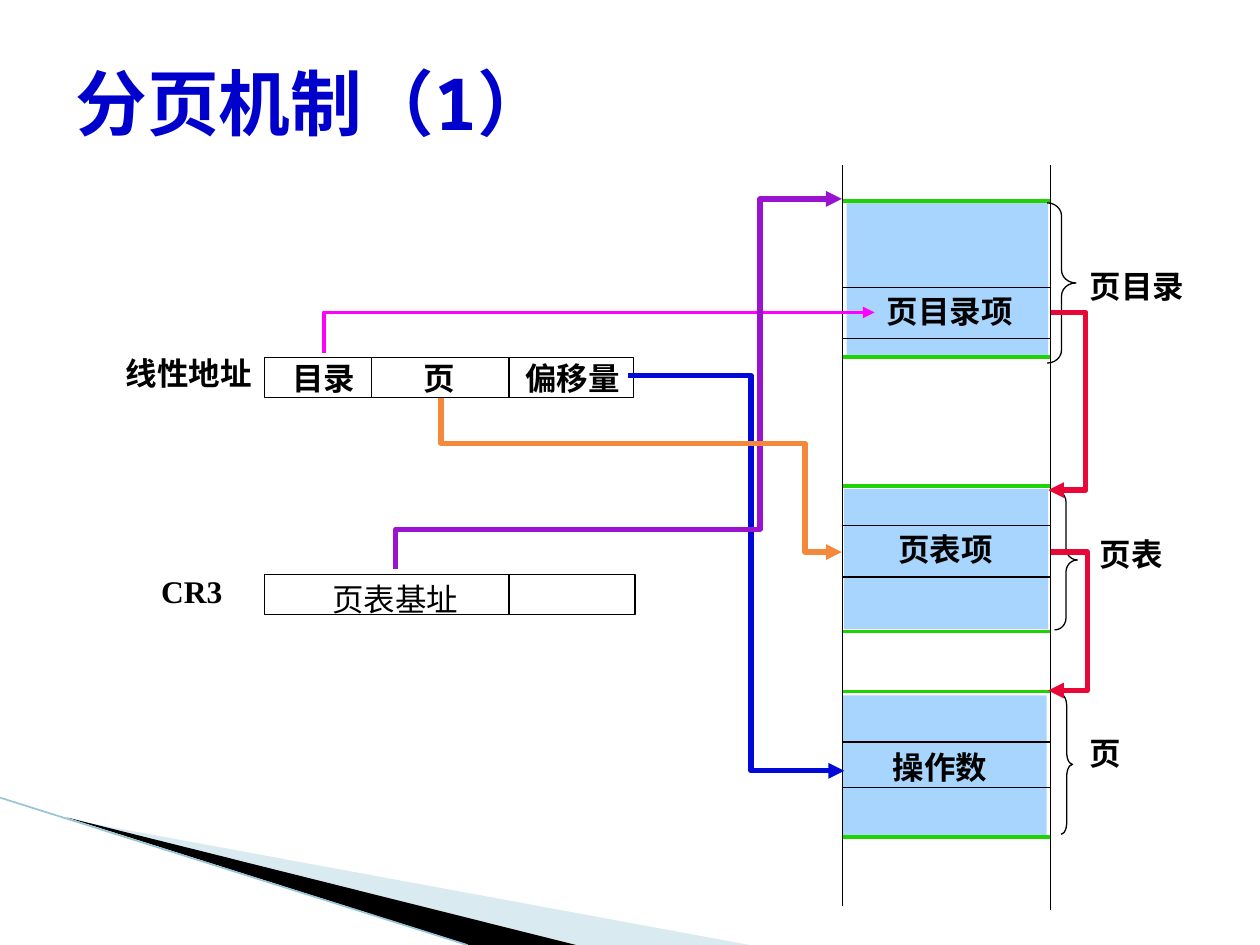
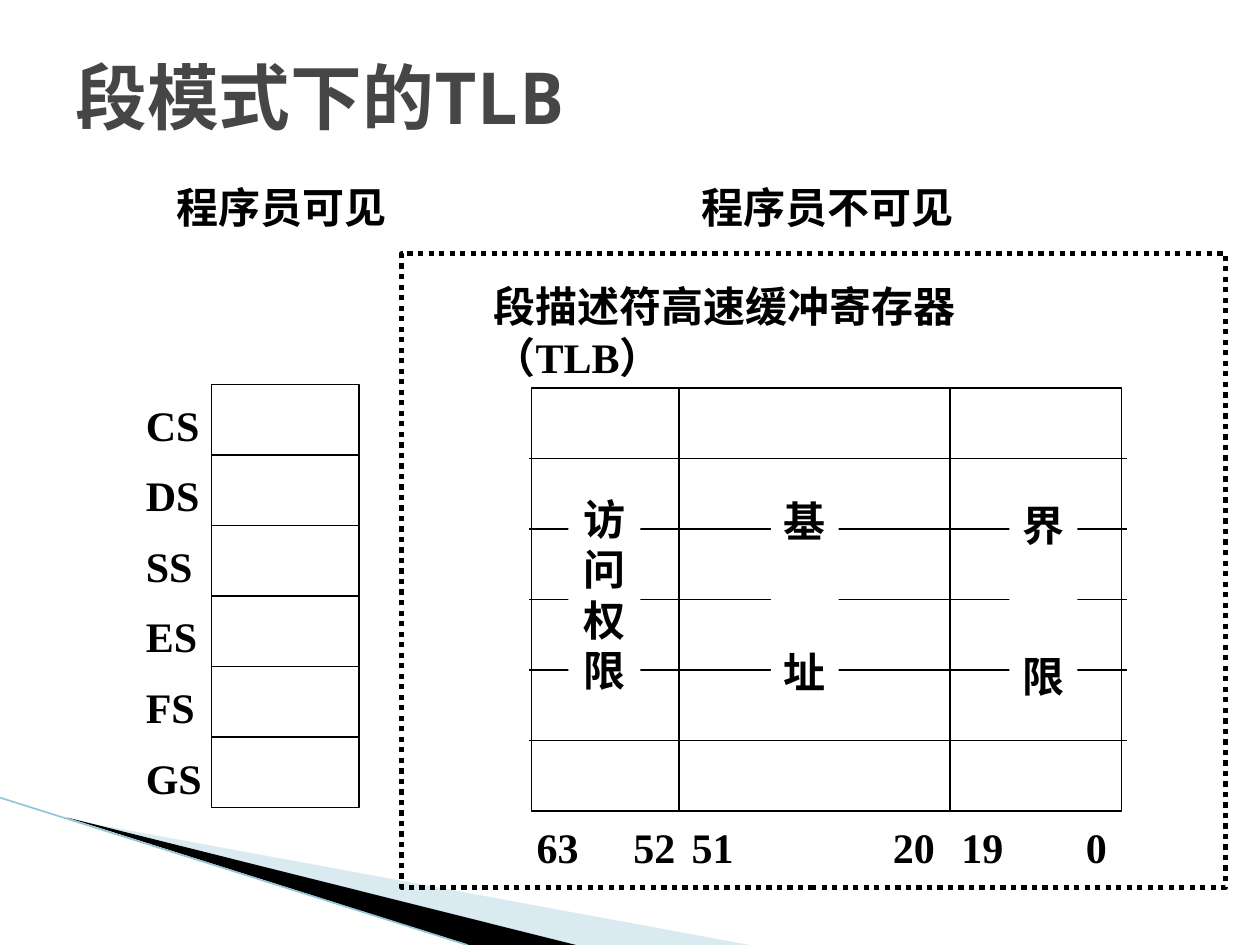
from dataclasses import dataclass

from lxml.etree import SubElement
from pptx import Presentation
from pptx.dml.color import RGBColor
from pptx.enum.dml import MSO_LINE
from pptx.enum.shapes import MSO_CONNECTOR, MSO_SHAPE
from pptx.enum.text import MSO_ANCHOR, PP_ALIGN
from pptx.oxml.ns import qn
from pptx.util import Cm, Pt

Point = tuple[float, float]


@dataclass(frozen=True)
class Theme:
    ink: str = "000000"
    paper: str = "FFFFFF"
    title_blue: str = "0000CC"
    title_grey: str = "464646"
    memory: str = "A8D5FE"
    boundary: str = "20D202"
    directory_path: str = "FF00FF"
    offset_path: str = "000AD8"
    base_path: str = "9A14D0"
    page_path: str = "F38A3B"
    entry_path: str = "E80838"
    swoosh: str = "A0CBDC"
    swoosh_edge: str = "97C5D8"
    title_font: str = "Noto Sans Mono"
    body_font: str = "Times New Roman"
    plain_font: str = "Arial"
    title_size: float = 41
    heading_size: float = 24
    label_size: float = 18
    thin: float = 0.75
    medium: float = 2.25
    thick: float = 3


THEME = Theme()


@dataclass(frozen=True)
class Box:
    left: float
    top: float
    width: float
    height: float

    @property
    def right(self) -> float:
        return self.left + self.width

    @property
    def bottom(self) -> float:
        return self.top + self.height

    def lengths(self) -> list[Cm]:
        return [Cm(v) for v in (self.left, self.top, self.width, self.height)]


@dataclass(frozen=True)
class Label:
    text: str
    left: float
    top: float
    size: float = THEME.label_size
    font: str = THEME.body_font
    bold: bool = True


@dataclass(frozen=True)
class Route:
    color: str
    points: tuple[Point, ...]
    weight: float = THEME.thick


@dataclass(frozen=True)
class MemoryBlock:
    body: Box
    top: float
    bottom: float
    entry_top: float
    entry_bottom: float
    entry: Label
    brace: Box
    curl: float
    caption: Label


@dataclass(frozen=True)
class Mask:
    box: Box
    letters: str
    gap: float = 0


BLOCKS = (
    MemoryBlock(Box(17.07, 4.06, 4.06, 3.1), 4.06, 7.19, 5.79, 6.83,
                Label("页目录项", 17.63, 5.77), Box(21.11, 4.09, 0.58, 3.23), 0.45,
                Label("页目录", 21.72, 5.26)),
    MemoryBlock(Box(17.02, 9.86, 4.11, 2.82), 9.8, 12.73, 10.59, 11.63,
                Label("页表项", 17.86, 10.57), Box(21.26, 9.88, 0.46, 2.82), 0.52,
                Label("页表", 21.92, 10.67)),
    MemoryBlock(Box(16.99, 14.02, 4.11, 2.82), 13.94, 16.87, 14.96, 15.88,
                Label("操作数", 17.75, 14.96), Box(21.39, 14, 0.23, 2.82), 1.05,
                Label("页", 21.72, 14.68)),
)

ROUTES = (
    Route(THEME.directory_path, ((6.53, 7.11), (6.53, 6.3), (17.63, 6.3)), THEME.medium),
    Route(THEME.offset_path, ((12.67, 7.57), (15.14, 7.57), (15.14, 15.54), (17.02, 15.54))),
    Route(THEME.base_path, ((7.98, 11.48), (7.98, 10.67), (15.32, 10.67),
                            (15.32, 4.01), (16.97, 4.01))),
    Route(THEME.entry_path, ((21.18, 6.3), (21.89, 6.3), (21.89, 9.88), (21.13, 9.88))),
    Route(THEME.page_path, ((8.89, 8.03), (8.89, 8.94), (16.23, 8.94),
                            (16.23, 11.13), (16.97, 11.13))),
    Route(THEME.entry_path, ((21.18, 11.13), (21.92, 11.13), (21.92, 13.92), (21.13, 13.92))),
)

ADDRESS_LABELS = (
    Label("线性地址", 2.29, 7.01),
    Label("目录", 5.64, 7.11),
    Label("页", 8.28, 7.11),
    Label("偏移量", 10.34, 7.11),
    Label("CR3", 3, 11.4),
    Label("页表基址", 6.45, 11.56, font=THEME.plain_font, bold=False),
)

BIT_LABELS = (("63", 10.57), ("52", 12.52), ("51", 13.69),
              ("20", 17.75), ("19", 19.13), ("0", 21.64))

MASKS = (
    Mask(Box(11.46, 8.81, 1.45, 6.35), "访问权限"),
    Mask(Box(15.54, 8.84, 1.37, 6.35), "基址", 58),
    Mask(Box(20.35, 8.92, 1.37, 6.35), "界限", 58),
)


def rgb(color: str) -> RGBColor:
    return RGBColor.from_string(color)


def draw_shape(slide, box: Box, fill: str = "", line: str = "",
               weight: float = THEME.thin, preset=MSO_SHAPE.RECTANGLE):
    shape = slide.shapes.add_shape(preset, *box.lengths())
    paint(shape, fill, line, weight)
    return shape


def paint(shape, fill: str, line: str, weight: float = THEME.thin) -> None:
    shape.shadow.inherit = False
    if fill:
        shape.fill.solid()
        shape.fill.fore_color.rgb = rgb(fill)
    else:
        shape.fill.background()
    if line:
        shape.line.color.rgb = rgb(line)
        shape.line.width = Pt(weight)
    else:
        shape.line.fill.background()


def draw_line(slide, start: Point, end: Point, color: str = THEME.ink,
              weight: float = THEME.thin):
    line = slide.shapes.add_connector(
        MSO_CONNECTOR.STRAIGHT, *(Cm(v) for v in (*start, *end)))
    line.line.color.rgb = rgb(color)
    line.line.width = Pt(weight)
    SubElement(line._element.spPr, qn("a:effectLst"))
    return line


def draw_outline(slide, points: tuple[Point, ...], closed: bool):
    first, *rest = [(Cm(x), Cm(y)) for x, y in points]
    builder = slide.shapes.build_freeform(*first)
    builder.add_line_segments(rest, close=closed)
    return builder.convert_to_shape()


def draw_route(slide, route: Route) -> None:
    arrow = draw_outline(slide, route.points, False)
    paint(arrow, "", route.color, route.weight)
    SubElement(arrow.line._get_or_add_ln(), qn("a:tailEnd"), type="triangle")


def write(frame, lines, size: float, font: str = THEME.body_font, color: str = THEME.ink,
          bold: bool = True, align=PP_ALIGN.LEFT, spacing: float | None = None,
          gap: float = 0) -> None:
    for index, text in enumerate(lines):
        paragraph = frame.add_paragraph() if index else frame.paragraphs[0]
        paragraph.text = text
        paragraph.alignment = align
        if spacing:
            paragraph.line_spacing = spacing
        if index and gap:
            paragraph.space_before = Pt(gap)
        paragraph.font.size = Pt(size)
        paragraph.font.name = font
        paragraph.font.bold = bold
        paragraph.font.color.rgb = rgb(color)


def add_frame(slide, box: Box, wrap: bool):
    frame = slide.shapes.add_textbox(*box.lengths()).text_frame
    frame.word_wrap = wrap
    return frame


def draw_label(slide, label: Label) -> None:
    em = Pt(label.size).cm
    width = 0.51 + em * sum(1 if ord(letter) > 255 else 0.5 for letter in label.text)
    if label.text.isupper():
        width += em * 0.45
    frame = add_frame(slide, Box(label.left, label.top, width, 0.25 + em * 1.2), False)
    write(frame, [label.text], label.size, label.font, bold=label.bold)


def draw_backdrop(slide) -> None:
    pale = draw_outline(slide, ((1.4, 16.52), (15.11, 19.05), (11.58, 19.05)), True)
    paint(pale, THEME.swoosh, "")
    tint = pale.fill._xPr.find(qn("a:solidFill"))[0]
    SubElement(tint, qn("a:alpha"), val="40000")
    dark = draw_outline(slide, ((1.35, 16.48), (11.61, 19.05), (9.45, 19.05)), True)
    paint(dark, THEME.ink, "")
    draw_line(slide, (0, 16.08), (9.42, 19.05), THEME.swoosh_edge, 0.95)


def start_slide(deck, title: str, color: str, title_height: float):
    slide = deck.slides.add_slide(deck.slide_layouts[6])
    draw_backdrop(slide)
    frame = add_frame(slide, Box(1.27, 0.76, 22.86, title_height), True)
    frame.vertical_anchor = MSO_ANCHOR.MIDDLE
    write(frame, [title], THEME.title_size, THEME.title_font, color)
    return slide


def draw_block(slide, block: MemoryBlock) -> None:
    draw_shape(slide, block.body, THEME.memory)
    left, right = 16.97, 21.16
    for y in (block.top, block.bottom):
        draw_line(slide, (left, y), (right, y), THEME.boundary, THEME.medium)
    for y in (block.entry_top, block.entry_bottom):
        draw_line(slide, (left, y), (right, y))
    brace = draw_shape(slide, block.brace, line=THEME.ink, preset=MSO_SHAPE.RIGHT_BRACE)
    brace.adjustments[0] = block.curl
    draw_label(slide, block.entry)
    draw_label(slide, block.caption)


def draw_register(slide, box: Box, dividers: tuple[float, ...]) -> None:
    draw_shape(slide, box, line=THEME.ink)
    for x in dividers:
        draw_line(slide, (x, box.top), (x, box.bottom))


def build_paging(deck) -> None:
    slide = start_slide(deck, "分页机制（1）", THEME.title_blue, 2.57)
    for block in BLOCKS:
        draw_block(slide, block)
    for x, bottom in ((16.99, 18.26), (21.18, 18.34)):
        draw_line(slide, (x, 3.33), (x, bottom))
    draw_register(slide, Box(5.33, 7.21, 7.44, 0.81), (7.49, 10.26))
    draw_register(slide, Box(5.33, 11.58, 7.47, 0.81), (10.26,))
    for label in ADDRESS_LABELS:
        draw_label(slide, label)
    for route in ROUTES:
        draw_route(slide, route)


def draw_mask(slide, mask: Mask) -> None:
    frame = draw_shape(slide, mask.box, THEME.paper).text_frame
    frame.word_wrap = False
    frame.vertical_anchor = MSO_ANCHOR.TOP
    frame.margin_top = Cm(1.14)
    write(frame, mask.letters, THEME.heading_size, align=PP_ALIGN.CENTER, gap=mask.gap)


def build_tlb(deck) -> None:
    slide = start_slide(deck, "段模式下的TLB", THEME.title_grey, 2.36)
    names = ("CS", "DS", "SS", "ES", "FS", "GS")
    count = len(names)

    selectors = Box(4.27, 7.75, 2.97, 8.53)
    selector_frame = draw_shape(slide, selectors, line=THEME.ink)
    for row in range(1, count):
        y = selectors.top + selectors.height * row / count
        rule = draw_line(slide, (selectors.left, y), (selectors.right, y))
        if row * 2 == count:
            rule.begin_connect(selector_frame, 1)
            rule.end_connect(selector_frame, 3)
    write(add_frame(slide, Box(2.69, 7.52, 1.65, 8.76), False), names,
          THEME.heading_size, spacing=1.4)

    cache = Box(10.72, 7.82, 11.89, 8.53)
    draw_register(slide, cache, (13.69, 19.15))

    def draw_rows(rows) -> None:
        for row in rows:
            y = cache.top + cache.height * row / count
            draw_line(slide, (10.67, y), (22.71, y))

    draw_rows(range(2, count - 1))
    for mask in MASKS:
        draw_mask(slide, mask)
    draw_rows((1, count - 1))

    for bit, left in BIT_LABELS:
        draw_label(slide, Label(bit, left, 16.43, THEME.heading_size))
    for heading, left in (("程序员可见", 3.3), ("程序员不可见", 13.89)):
        draw_label(slide, Label(heading, left, 3.53, THEME.heading_size))
    write(add_frame(slide, Box(9.7, 5.54, 12.7, 1.27), True),
          ["段描述符高速缓冲寄存器（TLB）"], THEME.heading_size)
    hidden_part = draw_shape(slide, Box(8.1, 5.11, 16.61, 12.78), line=THEME.ink,
                             weight=THEME.thick)
    hidden_part.line.dash_style = MSO_LINE.ROUND_DOT


def main() -> None:
    deck = Presentation()
    deck.slide_width, deck.slide_height = Cm(25.4), Cm(19.05)
    build_paging(deck)
    build_tlb(deck)
    deck.save("out.pptx")


if __name__ == "__main__":
    main()
